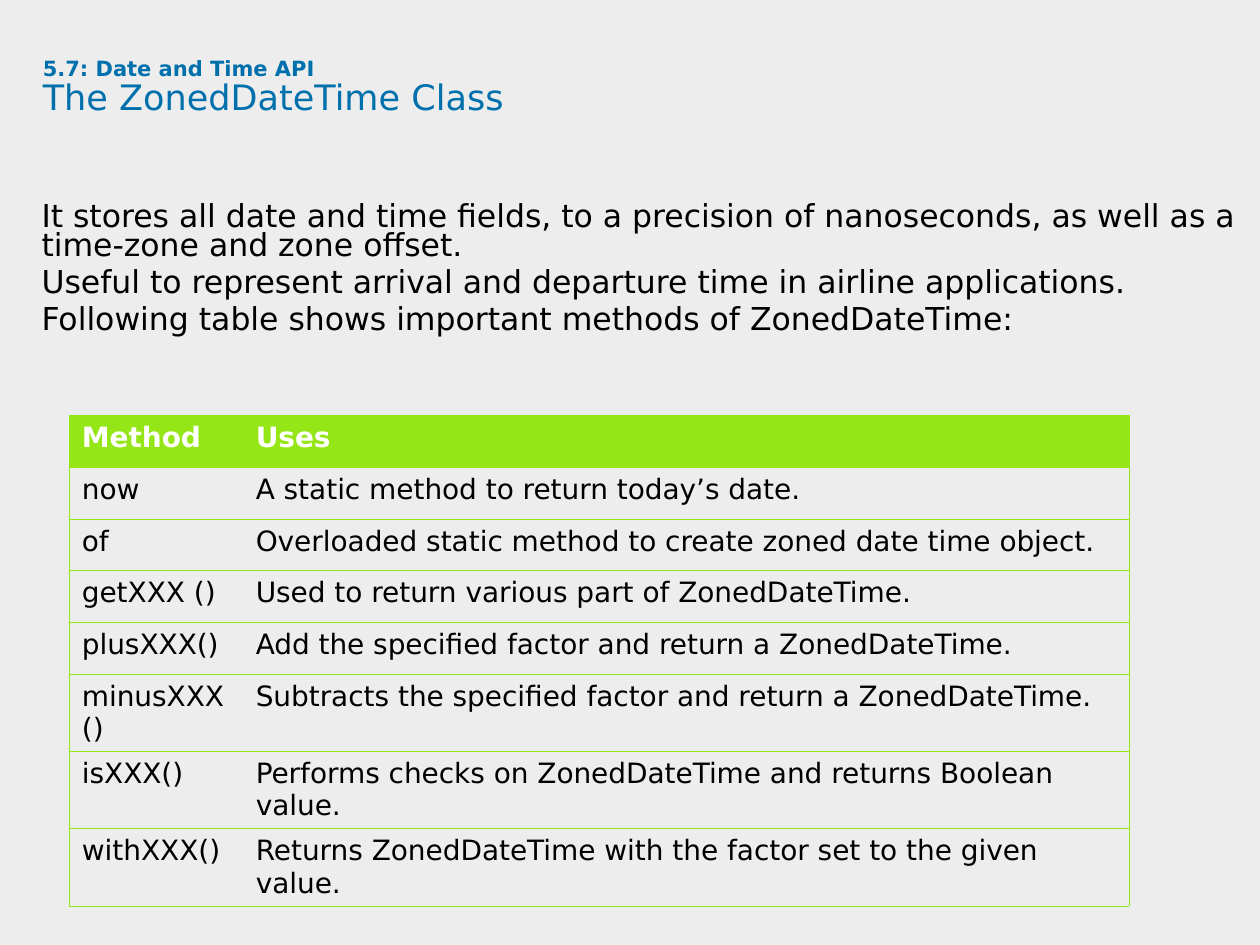
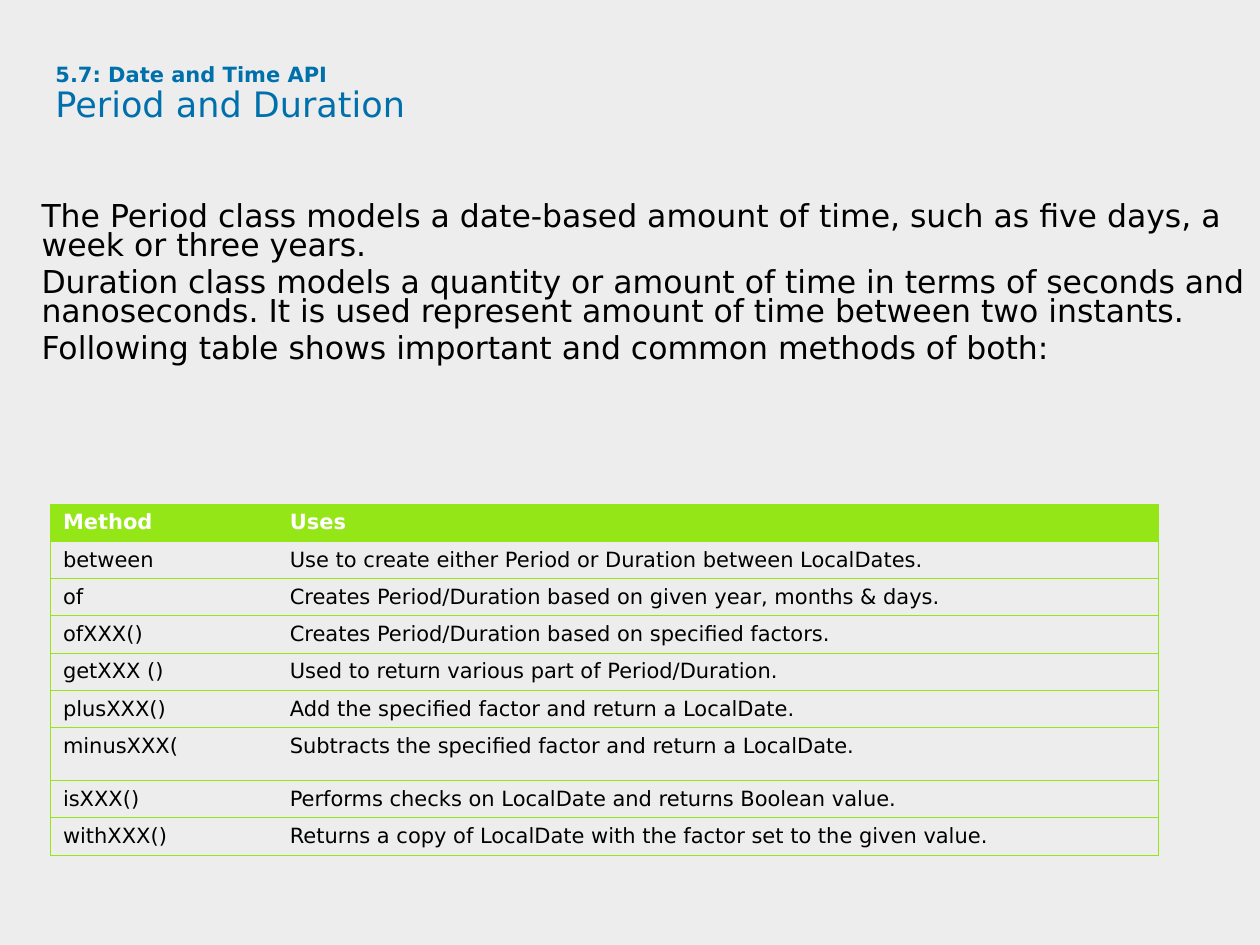
from copy import deepcopy

from pptx import Presentation
from pptx.dml.color import RGBColor
from pptx.enum.text import MSO_ANCHOR, MSO_AUTO_SIZE, PP_ALIGN
from pptx.oxml.ns import qn
from pptx.util import Inches, Pt
from lxml.etree import SubElement

# Shared look
FONT = "DejaVu Sans"
BACKGROUND = RGBColor(0xED, 0xED, 0xED)
TITLE_BLUE = RGBColor(0x00, 0x70, 0xAD)
GREEN = RGBColor(0x95, 0xE6, 0x16)
BLACK = RGBColor(0x00, 0x00, 0x00)
WHITE = RGBColor(0xFF, 0xFF, 0xFF)
PLAIN_TABLE_STYLE = "{2D5ABB26-0587-4C30-8999-92F81FD0307C}"
TITLE_ONLY = 5

SECTION = "5.7: Date and Time API"
HEADER = ("Method", "Uses")

ZONED_POINTS = [
    "It stores all date and time fields, to a precision of nanoseconds, "
    "as well as a time-zone and zone offset.",
    "Useful to represent arrival and departure time in airline applications.",
    "Following table shows important methods of ZonedDateTime:",
]
ZONED_METHODS = [
    ("now", "A static method to return today’s date."),
    ("of", "Overloaded static method to create zoned date time object."),
    ("getXXX ()", "Used to return various part of ZonedDateTime."),
    ("plusXXX()", "Add the specified factor and return a ZonedDateTime."),
    ("minusXXX()", "Subtracts the specified factor and return a ZonedDateTime."),
    ("isXXX()", "Performs checks on ZonedDateTime and returns Boolean value."),
    ("withXXX()", "Returns ZonedDateTime with the factor set to the given value."),
]

PERIOD_POINTS = [
    "The Period class models a date-based amount of time, such as five days, "
    "a week or three years.",
    "Duration class models a quantity or amount of time in terms of seconds and "
    "nanoseconds. It is used represent amount of time between two instants.",
    "Following table shows important and common methods of both:",
]
PERIOD_METHODS = [
    ("between", "Use to create either Period or Duration between LocalDates."),
    ("of", "Creates Period/Duration based on given year, months & days."),
    ("ofXXX()", "Creates Period/Duration based on specified factors."),
    ("getXXX ()", "Used to return various part of Period/Duration."),
    ("plusXXX()", "Add the specified factor and return a LocalDate."),
    ("minusXXX(", "Subtracts the specified factor and return a LocalDate."),
    ("isXXX()", "Performs checks on LocalDate and returns Boolean value."),
    ("withXXX()", "Returns a copy of LocalDate with the factor set to the given value."),
]


def style_font(font, size, color, bold=False):
    font.name = FONT
    font.size = Pt(size)
    font.color.rgb = color
    font.bold = bold


def set_frame(frame, inset_x=0, inset_y=0):
    frame.word_wrap = True
    frame.auto_size = MSO_AUTO_SIZE.NONE
    frame.vertical_anchor = MSO_ANCHOR.TOP
    frame.margin_left = frame.margin_right = Inches(inset_x)
    frame.margin_top = frame.margin_bottom = Inches(inset_y)


def add_page(deck, heading, inset_x=0, inset_y=0):
    """Add a slide with the section line above its heading."""
    page = deck.slides.add_slide(deck.slide_layouts[TITLE_ONLY])
    title = page.shapes.title
    title.left, title.top = Inches(0.34), Inches(0.46)
    title.width, title.height = Inches(9.09), Inches(0.94)
    set_frame(title.text_frame, inset_x, inset_y)

    para = title.text_frame.paragraphs[0]
    para.alignment = PP_ALIGN.LEFT
    para.line_spacing = 0.9
    section_span = para.add_run()
    section_span.text = SECTION
    style_font(section_span.font, 12, TITLE_BLUE, bold=True)
    # The line break takes the size of the section line
    para.add_line_break()
    line_break = para._p.find(qn("a:br"))
    line_break.append(deepcopy(section_span._r.get_or_add_rPr()))
    heading_span = para.add_run()
    heading_span.text = heading
    style_font(heading_span.font, 20, TITLE_BLUE)
    return page


def add_points(page, points):
    box = page.shapes.add_textbox(Inches(0.33), Inches(1.63), Inches(9.67), Inches(5.08))
    frame = box.text_frame
    set_frame(frame)
    for index, point in enumerate(points):
        para = frame.add_paragraph() if index else frame.paragraphs[0]
        para.text = point
        para.line_spacing = Pt(16.5)
        para.space_after = Pt(4.5)
        style_font(para.font, 18, BLACK)


def set_borders(cell, sides):
    properties = cell._tc.get_or_add_tcPr()
    for side in sides:
        line = SubElement(properties, qn(f"a:ln{side}"), w=str(Pt(0.5)))
        fill = SubElement(line, qn("a:solidFill"))
        SubElement(fill, qn("a:srgbClr"), val=str(GREEN))


def add_method_table(page, left, top, widths, heights, methods, size):
    rows = [HEADER, *methods]
    table = page.shapes.add_table(
        len(rows), len(HEADER), Inches(left), Inches(top),
        Inches(sum(widths)), Inches(sum(heights))).table
    table._tbl.tblPr.find(qn("a:tableStyleId")).text = PLAIN_TABLE_STYLE
    table.horz_banding = False
    for column, width in zip(table.columns, widths):
        column.width = Inches(width)
    for row, height in zip(table.rows, heights):
        row.height = Inches(height)

    for row_index, texts in enumerate(rows):
        is_header = row_index == 0
        for column_index, text in enumerate(texts):
            cell = table.cell(row_index, column_index)
            # Outer frame and row rules, no rule between the columns
            set_borders(cell, "RTB" if column_index else "LTB")
            if is_header:
                cell.fill.solid()
                cell.fill.fore_color.rgb = GREEN
            else:
                cell.fill.background()
            para = cell.text_frame.paragraphs[0]
            para.text = text
            style_font(para.font, size, WHITE if is_header else BLACK, is_header)


def main():
    deck = Presentation()
    deck.slide_width, deck.slide_height = Inches(10), Inches(7.5)
    background = deck.slide_master.background.fill
    background.solid()
    background.fore_color.rgb = BACKGROUND

    # ZonedDateTime
    page = add_page(deck, "The ZonedDateTime Class")
    add_points(page, ZONED_POINTS)
    add_method_table(page, 0.55, 3.3, (1.38, 7.03), [0.41] * 8, ZONED_METHODS, 16)

    # Period and Duration
    page = add_page(deck, "Period and Duration", 0.1, 0.05)
    add_points(page, PERIOD_POINTS)
    add_method_table(page, 0.4, 4, (1.8, 6.99), [0.27] * 6 + [0.42, 0.27, 0.3],
                     PERIOD_METHODS, 12)

    deck.save("out.pptx")


if __name__ == "__main__":
    main()
